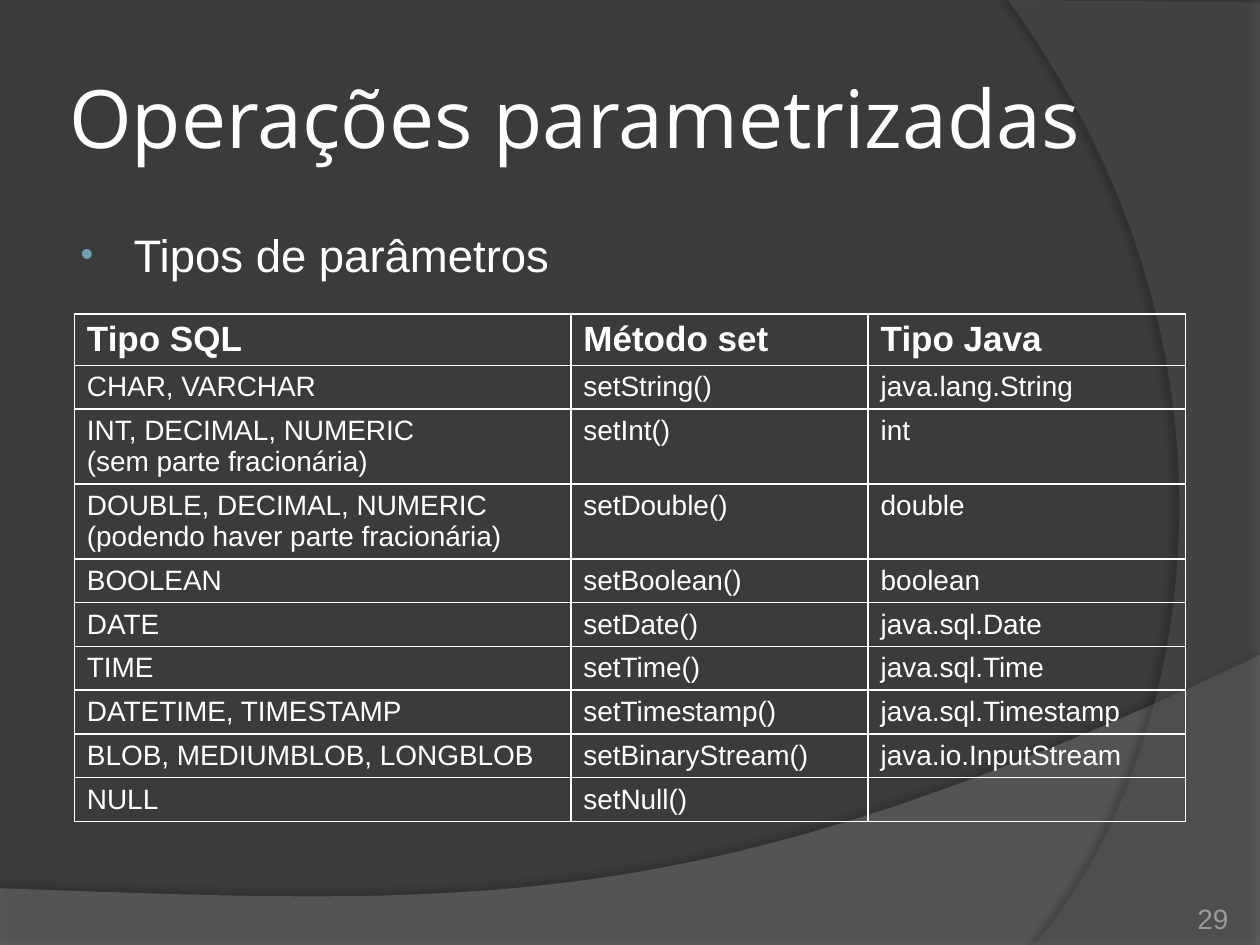
from dataclasses import dataclass

from lxml import etree
from pptx import Presentation, util as u
from pptx.dml.color import RGBColor
from pptx.enum import text
from pptx.oxml import ns

WHITE = "FFFFFF"
Point = tuple[float, float]


@dataclass(frozen=True)
class Swoosh:
    before: list[Point]
    curve: tuple[Point, Point, Point, Point]
    after: list[Point]
    fill: str
    opacity: int
    shadow_opacity: int
    shadow_distance: float
    shadow_angle: int


@dataclass(frozen=True)
class TypeRow:
    sql: str
    method: str
    java: str
    height: float = 0.34
    size: int = 16
    bold: bool = False


SWOOSHES = [
    Swoosh([(0, 7.05), (0, 7.5), (10, 7.5)],
           ((10, 5.2), (5.59, 7.29), (3.91, 7.19), (0, 7.05)), [],
           "7F7F7F", 45, 35, 3.5, 270),
    Swoosh([(10, 0.02), (10, 7.5)],
           ((8.21, 7.5), (9.35, 6.19), (10.18, 3), (8, 0)), [(10, 0.02)],
           "5E5E5E", 40, 45, 4, 180),
]

ROWS = [
    TypeRow("Tipo SQL", "Método set", "Tipo Java", 0.4, 20, True),
    TypeRow("CHAR, VARCHAR", "setString()", "java.lang.String"),
    TypeRow("INT, DECIMAL, NUMERIC\n(sem parte fracionária)", "setInt()", "int", 0.59),
    TypeRow("DOUBLE, DECIMAL, NUMERIC (podendo haver parte fracionária)",
            "setDouble()", "double", 0.59),
    TypeRow("BOOLEAN", "setBoolean()", "boolean"),
    TypeRow("DATE", "setDate()", "java.sql.Date"),
    TypeRow("TIME", "setTime()", "java.sql.Time"),
    TypeRow("DATETIME, TIMESTAMP", "setTimestamp()", "java.sql.Timestamp"),
    TypeRow("BLOB, MEDIUMBLOB, LONGBLOB", "setBinaryStream()", "java.io.InputStream"),
    TypeRow("NULL", "setNull()", ""),
]
COLUMN_WIDTHS = [3.94, 2.36, 2.52]


def rgb(value: str) -> RGBColor:
    return RGBColor.from_string(value)


def add_xml(parent, tag: str, **attributes):
    return etree.SubElement(parent, ns.qn(tag), attributes)


def place(box, left: float, top: float, width: float, height: float) -> None:
    box.left, box.top = u.Inches(left), u.Inches(top)
    box.width, box.height = u.Inches(width), u.Inches(height)


def write(para, words: str, size: int, color: str, font: str = "Arial",
          bold: bool = False) -> None:
    para.text = words
    para.font.name, para.font.size, para.font.bold = font, u.Pt(size), bold
    para.font.color.rgb = rgb(color)


def set_margins(frame, margin: float) -> None:
    frame.margin_left = frame.margin_right = u.Inches(margin)
    frame.margin_top = frame.margin_bottom = u.Inches(margin)


def bezier(curve: tuple[Point, Point, Point, Point], steps: int = 60) -> list[Point]:
    points = []
    for step in range(steps + 1):
        t = step / steps
        weights = ((1 - t) ** 3, 3 * t * (1 - t) ** 2, 3 * t * t * (1 - t), t ** 3)
        points.append(tuple(sum(w * p[axis] for w, p in zip(weights, curve))
                            for axis in (0, 1)))
    return points


def draw_swoosh(page, swoosh: Swoosh) -> None:
    points = [(u.Inches(x), u.Inches(y))
              for x, y in swoosh.before + bezier(swoosh.curve) + swoosh.after]
    builder = page.shapes.build_freeform(*points[0], scale=1.0)
    builder.add_line_segments(points[1:], close=True)
    shape = builder.convert_to_shape()
    shape.fill.solid()
    shape.fill.fore_color.rgb = rgb(swoosh.fill)
    shape.line.fill.background()
    shape.shadow.inherit = False
    properties = shape._element.spPr
    fill_color = properties.find(ns.qn("a:solidFill"))[0]
    add_xml(fill_color, "a:alpha", val=str(swoosh.opacity * 1000))
    shadow = add_xml(properties.find(ns.qn("a:effectLst")), "a:outerShdw",
                     blurRad=str(u.Pt(4)), dist=str(u.Pt(swoosh.shadow_distance)),
                     dir=str(swoosh.shadow_angle * 60000), algn="ctr", rotWithShape="0")
    shadow_color = add_xml(shadow, "a:srgbClr", val="000000")
    add_xml(shadow_color, "a:alpha", val=str(swoosh.shadow_opacity * 1000))


def border_cell(cell) -> None:
    properties = cell._tc.get_or_add_tcPr()
    for index, side in enumerate("LRTB"):
        line = add_xml(properties, f"a:ln{side}", w=str(u.Pt(1)))
        add_xml(add_xml(line, "a:solidFill"), "a:srgbClr", val=WHITE)
        properties.insert(index, line)


def draw_table(page, left: float, top: float) -> None:
    frame = page.shapes.add_table(
        len(ROWS), len(COLUMN_WIDTHS), u.Inches(left), u.Inches(top),
        u.Inches(sum(COLUMN_WIDTHS)), u.Inches(sum(row.height for row in ROWS)))
    table = frame.table
    table.first_row = table.horz_banding = False
    for column, width in zip(table.columns, COLUMN_WIDTHS):
        column.width = u.Inches(width)
    for row_index, row in enumerate(ROWS):
        table.rows[row_index].height = u.Inches(row.height)
        for column_index, words in enumerate((row.sql, row.method, row.java)):
            cell = table.cell(row_index, column_index)
            cell.fill.background()
            border_cell(cell)
            para = cell.text_frame.paragraphs[0]
            write(para, words, row.size, WHITE, bold=row.bold)
            if not words:
                add_xml(para._p, "a:endParaRPr", sz=str(row.size * 100))


def draw_title(page) -> None:
    title = page.shapes.title
    place(title, 0.5, 0.3, 8.17, 1.25)
    frame = title.text_frame
    set_margins(frame, 0.05)
    frame.vertical_anchor = text.MSO_ANCHOR.MIDDLE
    frame.auto_size = text.MSO_AUTO_SIZE.NONE
    para = frame.paragraphs[0]
    write(para, "Operações parametrizadas", 46, WHITE, "Open Sans")
    para.alignment = text.PP_ALIGN.LEFT


def draw_body(page) -> None:
    body = page.placeholders[1]
    place(body, 0.5, 1.75, 8.2, 0.58)
    body.text_frame.auto_size = text.MSO_AUTO_SIZE.NONE
    para = body.text_frame.paragraphs[0]
    write(para, "Tipos de parâmetros", 26, WHITE)
    properties = para._p.get_or_add_pPr()
    properties.set("marL", str(u.Inches(0.46)))
    properties.set("indent", str(u.Inches(-0.42)))
    bullet_color = add_xml(properties, "a:buClr")
    add_xml(bullet_color, "a:srgbClr", val="6EA0B0")
    bullet = [bullet_color, add_xml(properties, "a:buSzPct", val="80000"),
              add_xml(properties, "a:buFont", typeface="Arial"),
              add_xml(properties, "a:buChar", char="•")]
    defaults = properties.find(ns.qn("a:defRPr"))
    for element in bullet:
        defaults.addprevious(element)


def draw_page_number(page) -> None:
    box = page.shapes.add_textbox(*map(u.Inches, (8.92, 7.02, 0.83, 0.4)))
    frame = box.text_frame
    frame.word_wrap = True
    set_margins(frame, 0)
    frame.vertical_anchor = text.MSO_ANCHOR.BOTTOM
    para = frame.paragraphs[0]
    write(para, "29", 16, "9D9B9A")
    para.alignment = text.PP_ALIGN.RIGHT


deck = Presentation()
deck.slide_width, deck.slide_height = u.Inches(10), u.Inches(7.5)
page = deck.slides.add_slide(deck.slide_layouts[1])
page.background.fill.solid()
page.background.fill.fore_color.rgb = rgb("3B3B3B")
for swoosh in SWOOSHES:
    draw_swoosh(page, swoosh)
for placeholder in list(page.placeholders):
    page.shapes._spTree.append(placeholder._element)
draw_title(page)
draw_body(page)
draw_table(page, 0.59, 2.49)
draw_page_number(page)
deck.save("out.pptx")
